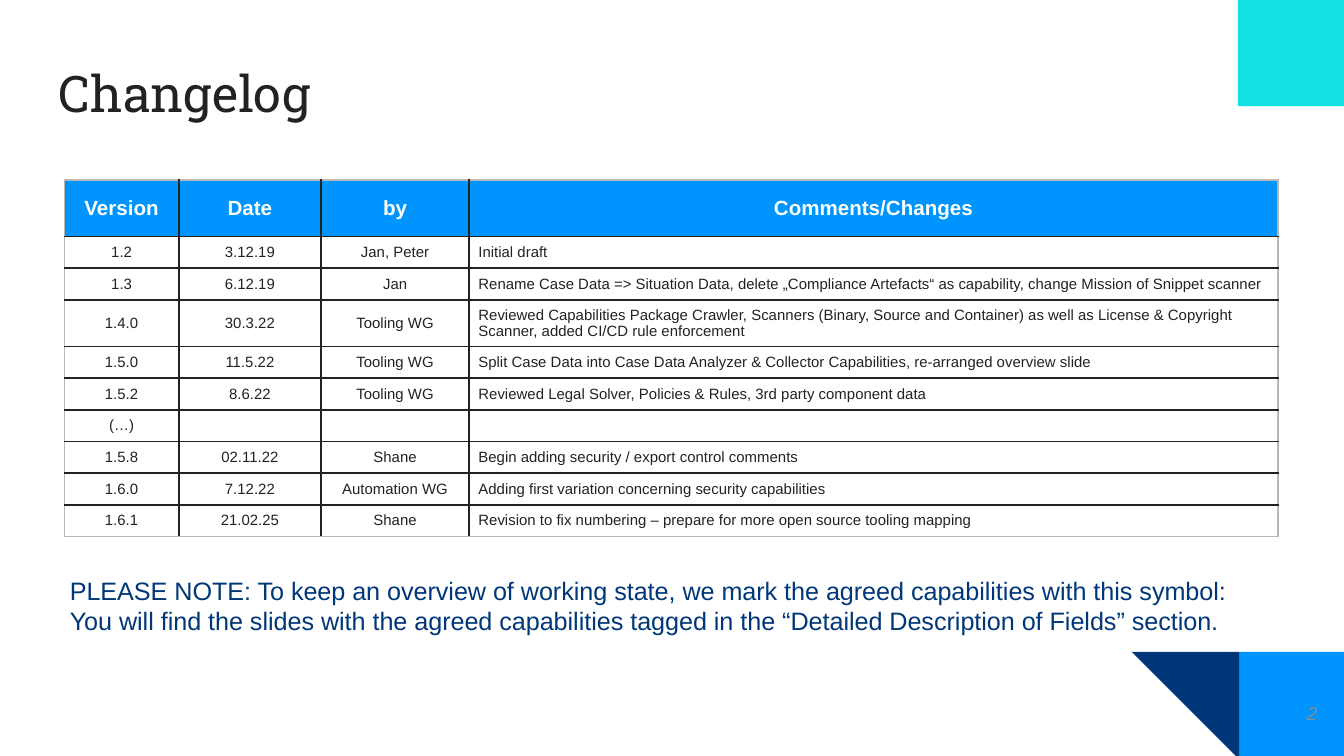
from dataclasses import dataclass

from lxml.etree import SubElement
from pptx import Presentation
from pptx.dml.color import RGBColor
from pptx.enum.shapes import MSO_SHAPE as Preset
from pptx.enum.text import MSO_ANCHOR as Anchor, PP_ALIGN as Align
from pptx.oxml.ns import qn
from pptx.util import Inches, Pt


@dataclass(frozen=True)
class Theme:
    ink: str = "222222"
    white: str = "FFFFFF"
    blue: str = "0094FF"
    navy: str = "003778"
    aqua: str = "12E2E2"
    grey: str = "888C91"
    frame: str = "B7B7B7"
    heading_font: str = "Roboto Slab"
    body_font: str = "Arial"
    title_size: float = 27
    note_size: float = 13.5
    header_size: float = 11
    number_size: float = 10
    cell_size: float = 8


THEME = Theme()
SLIDE_WIDTH, SLIDE_HEIGHT = Inches(10), Inches(5.625)
GRID_COLUMNS = 100
COLUMN_WIDTHS = (8.5, 10.6, 11, 60.2)
HEADER_HEIGHT, ROW_HEIGHT, TALL_ROW_HEIGHT = 4.2, 2.36, 3.4
TALL_ROW = 3
ROWS = (
    ("Version", "Date", "by", "Comments/Changes"),
    ("1.2", "3.12.19", "Jan, Peter", "Initial draft"),
    ("1.3", "6.12.19", "Jan",
     "Rename Case Data => Situation Data, delete „Compliance Artefacts“ as capability, "
     "change Mission of Snippet scanner"),
    ("1.4.0", "30.3.22", "Tooling WG",
     "Reviewed Capabilities Package Crawler, Scanners (Binary, Source and Container) "
     "as well as License & Copyright Scanner, added CI/CD rule enforcement"),
    ("1.5.0", "11.5.22", "Tooling WG",
     "Split Case Data into Case Data Analyzer & Collector Capabilities, "
     "re-arranged overview slide"),
    ("1.5.2", "8.6.22", "Tooling WG",
     "Reviewed Legal Solver, Policies & Rules, 3rd party component data"),
    ("(…)", "", "", ""),
    ("1.5.8", "02.11.22", "Shane", "Begin adding security / export control comments"),
    ("1.6.0", "7.12.22", "Automation WG",
     "Adding first variation concerning security capabilities"),
    ("1.6.1", "21.02.25", "Shane",
     "Revision to fix numbering – prepare for more open source tooling mapping"),
)
NOTE = (
    "PLEASE NOTE: To keep an overview of working state, "
    "we mark the agreed capabilities with this symbol:\n"
    "You will find the slides with the agreed capabilities tagged "
    "in the “Detailed Description of Fields” section."
)


def grid(units):
    return round(SLIDE_WIDTH * units / GRID_COLUMNS)


def place(*units):
    return [grid(unit) for unit in units]


def style_font(font, size, color, name=THEME.body_font, bold=False, italic=False):
    font.name, font.size, font.bold, font.italic = name, Pt(size), bold, italic
    font.color.rgb = RGBColor.from_string(color)


def add_block(slide, preset, box, color, rotation=0):
    shape = slide.shapes.add_shape(preset, *place(*box))
    shape.shadow.inherit = False
    shape.fill.solid()
    shape.fill.fore_color.rgb = RGBColor.from_string(color)
    shape.line.fill.background()
    shape.rotation = rotation


def add_text(slide, box, text, insets, size, color,
             align=Align.LEFT, anchor=Anchor.TOP, **font):
    frame = slide.shapes.add_textbox(*place(*box)).text_frame
    frame.word_wrap = True
    frame.vertical_anchor = anchor
    frame.margin_left = frame.margin_right = grid(insets[0])
    frame.margin_top = frame.margin_bottom = grid(insets[1])
    paragraph = frame.paragraphs[0]
    paragraph.text = text
    paragraph.alignment = align
    style_font(paragraph.font, size, color, **font)


def add_borders(cell, row, column):
    outer_edges = {
        "a:lnL": column == 0,
        "a:lnR": column == len(COLUMN_WIDTHS) - 1,
        "a:lnT": row == 0,
        "a:lnB": row == len(ROWS) - 1,
    }
    properties = cell._tc.get_or_add_tcPr()
    for tag, outer in outer_edges.items():
        line = SubElement(properties, qn(tag), w=str(Pt(1)))
        fill = SubElement(line, qn("a:solidFill"))
        SubElement(fill, qn("a:srgbClr"), val=THEME.frame if outer else THEME.ink)


def fill_cell(cell, text, row, column):
    header = row == 0
    size = THEME.header_size if header else THEME.cell_size
    cell.vertical_anchor = Anchor.MIDDLE
    cell.margin_left = cell.margin_right = grid(0.7)
    cell.margin_top = cell.margin_bottom = grid(0.4)
    add_borders(cell, row, column)
    if header:
        cell.fill.solid()
        cell.fill.fore_color.rgb = RGBColor.from_string(THEME.blue)
    else:
        cell.fill.background()
    paragraph = cell.text_frame.paragraphs[0]
    paragraph.text = text
    comment = column == len(COLUMN_WIDTHS) - 1 and not header
    paragraph.alignment = Align.LEFT if comment else Align.CENTER
    style_font(paragraph.font, size, THEME.white if header else THEME.ink, bold=header)
    if not text:
        SubElement(paragraph._p, qn("a:endParaRPr"), sz=str(size * 100))


def add_changelog(slide, left, top):
    heights = [HEADER_HEIGHT] + [ROW_HEIGHT] * (len(ROWS) - 1)
    heights[TALL_ROW] = TALL_ROW_HEIGHT
    box = place(left, top, sum(COLUMN_WIDTHS), sum(heights))
    table = slide.shapes.add_table(len(ROWS), len(COLUMN_WIDTHS), *box).table
    table.first_row = table.horz_banding = False
    for column, width in zip(table.columns, COLUMN_WIDTHS):
        column.width = grid(width)
    for row, (height, texts) in enumerate(zip(heights, ROWS)):
        table.rows[row].height = grid(height)
        for column, text in enumerate(texts):
            fill_cell(table.cell(row, column), text, row, column)


def main():
    presentation = Presentation()
    presentation.slide_width, presentation.slide_height = SLIDE_WIDTH, SLIDE_HEIGHT
    slide = presentation.slides.add_slide(presentation.slide_layouts[6])

    add_block(slide, Preset.RECTANGLE, (92.2, 48.5, 7.9, 7.9), THEME.blue)
    add_block(slide, Preset.RIGHT_TRIANGLE, (84.2, 48.5, 8, 8), THEME.navy, rotation=180)
    add_block(slide, Preset.RECTANGLE, (92.1, 0, 7.9, 7.9), THEME.aqua)
    add_text(slide, (3.4, 3.6, 93.2, 6.6), "Changelog", (1, 1),
             THEME.title_size, THEME.ink, name=THEME.heading_font)
    add_text(slide, (92.5, 50.9, 6, 4.3), "2", (0.5, 1), THEME.number_size, THEME.grey,
             align=Align.RIGHT, anchor=Anchor.MIDDLE, italic=True)
    add_changelog(slide, 4.8, 13.4)
    add_text(slide, (4.8, 42.4, 88.3, 5.3), NOTE, (0.4, 0.4),
             THEME.note_size, THEME.navy)
    presentation.save("out.pptx")


if __name__ == "__main__":
    main()
